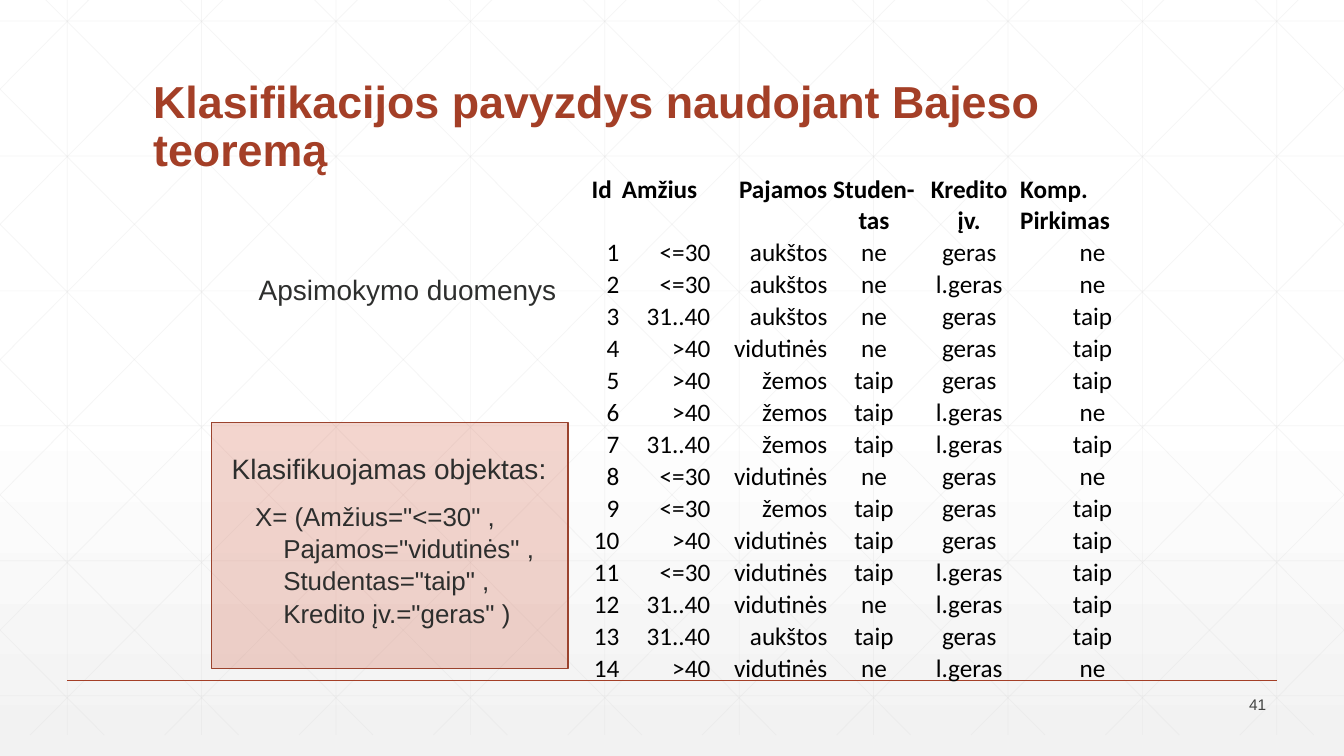
from dataclasses import dataclass
from typing import Any

from lxml import etree
from pptx import Presentation
from pptx import util as u
from pptx.dml import color as dml
from pptx.enum import shapes, text
from pptx.oxml import ns


@dataclass(frozen=True)
class Theme:
    accent: str = "A43F27"
    body: str = "2D2E2D"
    number: str = "424342"
    table: str = "000000"
    grid: str = "D9D9D9"
    query_fill: str = "D15A3E"
    query_line: str = "9B432E"
    paper: str = "FFFFFF"
    paper_end: str = "F2F2F2"
    sans: str = "Arial"
    table_font: str = "Calibri"
    title_size: float = 32
    label_size: float = 20
    query_size: float = 18.5
    table_size: float = 18
    number_size: float = 11


@dataclass(frozen=True)
class Label:
    lines: tuple[str, ...]
    box: tuple[float, float, float, float]
    size: float
    color: str
    bold: bool = False
    align: text.PP_ALIGN = text.PP_ALIGN.LEFT
    anchor: text.MSO_ANCHOR = text.MSO_ANCHOR.TOP
    spacing: float = 1.0
    hanging: bool = False


@dataclass(frozen=True)
class Column:
    heading: str
    width: float
    align: text.PP_ALIGN
    heading_align: text.PP_ALIGN
    heading_anchor: text.MSO_ANCHOR


@dataclass(frozen=True)
class Line:
    start: tuple[float, float]
    end: tuple[float, float]


THEME = Theme()
WIDTH, HEIGHT = 33.87, 19.05
GRID_TOP, GRID_BOTTOM = -0.53, 18.52
LEFT, CENTER, RIGHT = text.PP_ALIGN.LEFT, text.PP_ALIGN.CENTER, text.PP_ALIGN.RIGHT
TOP, MIDDLE, BOTTOM = text.MSO_ANCHOR.TOP, text.MSO_ANCHOR.MIDDLE, text.MSO_ANCHOR.BOTTOM

LABELS = (
    Label(("Klasifikacijos pavyzdys naudojant Bajeso teoremą",), (3.61, 1.4, 26.67, 3.17),
          THEME.title_size, THEME.accent, bold=True, anchor=BOTTOM, spacing=0.9),
    Label(("Apsimokymo duomenys",), (6.27, 6.83, 8.03, 1.68),
          THEME.label_size, THEME.body, spacing=0.9),
    Label(("Klasifikuojamas objektas:",), (5.28, 11.25, 22.86, 1.68),
          THEME.label_size, THEME.body, hanging=True),
    Label(('X= (Amžius="<=30" ,', 'Pajamos="vidutinės" ,', 'Studentas="taip" ,',
           'Kredito įv.="geras" )'), (5.87, 12.45, 9.07, 3.2),
          THEME.query_size, THEME.body, spacing=1.04, hanging=True),
    Label(("41",), (29.62, 17.45, 2.54, 0.61),
          THEME.number_size, THEME.number, align=RIGHT, anchor=MIDDLE),
)

COLUMNS = (
    Column("Id", 0.76, RIGHT, LEFT, TOP),
    Column("Amžius", 2.29, RIGHT, LEFT, TOP),
    Column("Pajamos", 2.95, RIGHT, RIGHT, TOP),
    Column("Studen-tas", 2.29, CENTER, CENTER, BOTTOM),
    Column("Kredito įv.", 2.51, CENTER, CENTER, MIDDLE),
    Column("Komp. Pirkimas", 3.71, CENTER, LEFT, BOTTOM),
)

TRAINING = (
    ("<=30", "aukštos", "ne", "geras", "ne"),
    ("<=30", "aukštos", "ne", "l.geras", "ne"),
    ("31..40", "aukštos", "ne", "geras", "taip"),
    (">40", "vidutinės", "ne", "geras", "taip"),
    (">40", "žemos", "taip", "geras", "taip"),
    (">40", "žemos", "taip", "l.geras", "ne"),
    ("31..40", "žemos", "taip", "l.geras", "taip"),
    ("<=30", "vidutinės", "ne", "geras", "ne"),
    ("<=30", "žemos", "taip", "geras", "taip"),
    (">40", "vidutinės", "taip", "geras", "taip"),
    ("<=30", "vidutinės", "taip", "l.geras", "taip"),
    ("31..40", "vidutinės", "ne", "l.geras", "taip"),
    ("31..40", "aukštos", "taip", "geras", "taip"),
    (">40", "vidutinės", "ne", "l.geras", "ne"),
)


def apply(target: Any, values: dict[str, Any]) -> None:
    for name, value in values.items():
        setattr(target, name, value)


def rgb(code: str) -> dml.RGBColor:
    return dml.RGBColor.from_string(code)


def style_run(run: Any, face: str, size: float, color: str, bold: bool) -> None:
    apply(run.font, {"name": face, "size": u.Pt(size), "bold": bold})
    run.font.color.rgb = rgb(color)


def set_alpha(properties: Any, percent: int) -> None:
    tint = next(properties.iter(ns.qn("a:srgbClr")))
    etree.SubElement(tint, ns.qn("a:alpha"), val=str(percent * 1000))


def draw_line(slide: Any, line: Line, color: str, weight: float, alpha: int = 100) -> None:
    ends = [u.Cm(value) for value in (*line.start, *line.end)]
    stroke = slide.shapes.add_connector(shapes.MSO_CONNECTOR.STRAIGHT, *ends)
    stroke.line.width = u.Pt(weight)
    stroke.line.color.rgb = rgb(color)
    properties = stroke._element.spPr
    if alpha < 100:
        set_alpha(properties, alpha)
    etree.SubElement(properties, ns.qn("a:effectLst"))


def diagonal(top_x: float, run: float = 18.93) -> Line:
    slope = (GRID_BOTTOM - GRID_TOP) / run
    left, right = max(0, top_x), min(WIDTH, top_x + run)
    return Line((left, GRID_TOP + (left - top_x) * slope),
                (right, GRID_TOP + (right - top_x) * slope))


def mirrored(line: Line) -> Line:
    return Line((WIDTH - line.start[0], line.start[1]), (WIDTH - line.end[0], line.end[1]))


def background_grid() -> list[Line]:
    pitch = WIDTH / 10
    columns = [(i + 0.5) * pitch for i in range(10)]
    rows = [0.53 + 3.4 * i for i in range(6)]
    falling = [diagonal(0.63 + pitch * i) for i in range(-5, 10)]
    return [*(Line((x, GRID_TOP), (x, GRID_BOTTOM)) for x in columns),
            *(Line((0, y), (WIDTH, y)) for y in rows),
            *falling, *map(mirrored, falling)]


def draw_background(slide: Any) -> None:
    paper = slide.background.fill
    paper.gradient()
    paper.gradient_angle = 270
    shades = ((0.53, THEME.paper), (1.0, THEME.paper_end))
    for stop, (position, color) in zip(paper.gradient_stops, shades):
        stop.position = position
        stop.color.rgb = rgb(color)
    for line in background_grid():
        draw_line(slide, line, THEME.grid, 0.5, alpha=25)
    draw_line(slide, Line((1.69, 17.15), (32.18, 17.15)), THEME.accent, 1)


def draw_query_panel(slide: Any) -> None:
    bounds = [u.Cm(value) for value in (5.33, 10.64, 8.99, 6.2)]
    panel = slide.shapes.add_shape(shapes.MSO_SHAPE.RECTANGLE, *bounds)
    panel.shadow.inherit = False
    panel.fill.solid()
    panel.fill.fore_color.rgb = rgb(THEME.query_fill)
    set_alpha(panel._element.spPr, 25)
    panel.line.color.rgb = rgb(THEME.query_line)
    panel.line.width = u.Pt(1)


def draw_label(slide: Any, label: Label) -> None:
    frame = slide.shapes.add_textbox(*(u.Cm(value) for value in label.box)).text_frame
    apply(frame, {"word_wrap": True, "vertical_anchor": label.anchor})
    paragraph = frame.paragraphs[0]
    apply(paragraph, {"alignment": label.align, "line_spacing": label.spacing})
    if label.hanging:
        indents = paragraph._p.get_or_add_pPr()
        indents.set("marL", str(u.Cm(1.02)))
        indents.set("indent", str(u.Cm(-0.71)))
    for number, line in enumerate(label.lines):
        if number:
            paragraph.add_line_break()
        run = paragraph.add_run()
        run.text = line
        style_run(run, THEME.sans, label.size, label.color, label.bold)


def draw_training_table(slide: Any) -> None:
    rows = [tuple(column.heading for column in COLUMNS)]
    rows += [(str(number), *values) for number, values in enumerate(TRAINING, 1)]
    row_height = 0.64
    bounds = (14.88, 4.37, sum(column.width for column in COLUMNS), row_height * len(rows))
    training = slide.shapes.add_table(len(rows), len(COLUMNS), *map(u.Cm, bounds)).table
    apply(training, {"first_row": False, "horz_banding": False})
    style = training._tbl.tblPr.find(ns.qn("a:tableStyleId"))
    style.text = "{2D5ABB26-0587-4C30-8999-92F81FD0307C}"
    for row in training.rows:
        row.height = u.Cm(row_height)
    for c, column in enumerate(COLUMNS):
        training.columns[c].width = u.Cm(column.width)
        for r, values in enumerate(rows):
            heading = r == 0
            cell = training.cell(r, c)
            cell.fill.background()
            apply(cell, {"margin_left": u.Cm(0.03), "margin_right": u.Cm(0.03),
                         "margin_top": u.Cm(0.03), "margin_bottom": u.Cm(0),
                         "vertical_anchor": column.heading_anchor if heading else BOTTOM})
            paragraph = cell.text_frame.paragraphs[0]
            paragraph.alignment = column.heading_align if heading else column.align
            run = paragraph.add_run()
            run.text = values[c]
            style_run(run, THEME.table_font, THEME.table_size, THEME.table, heading)


def main() -> None:
    deck = Presentation()
    apply(deck, {"slide_width": u.Cm(WIDTH), "slide_height": u.Cm(HEIGHT)})
    slide = deck.slides.add_slide(deck.slide_layouts[6])
    draw_background(slide)
    draw_query_panel(slide)
    draw_training_table(slide)
    for label in LABELS:
        draw_label(slide, label)
    deck.save("out.pptx")


if __name__ == "__main__":
    main()
